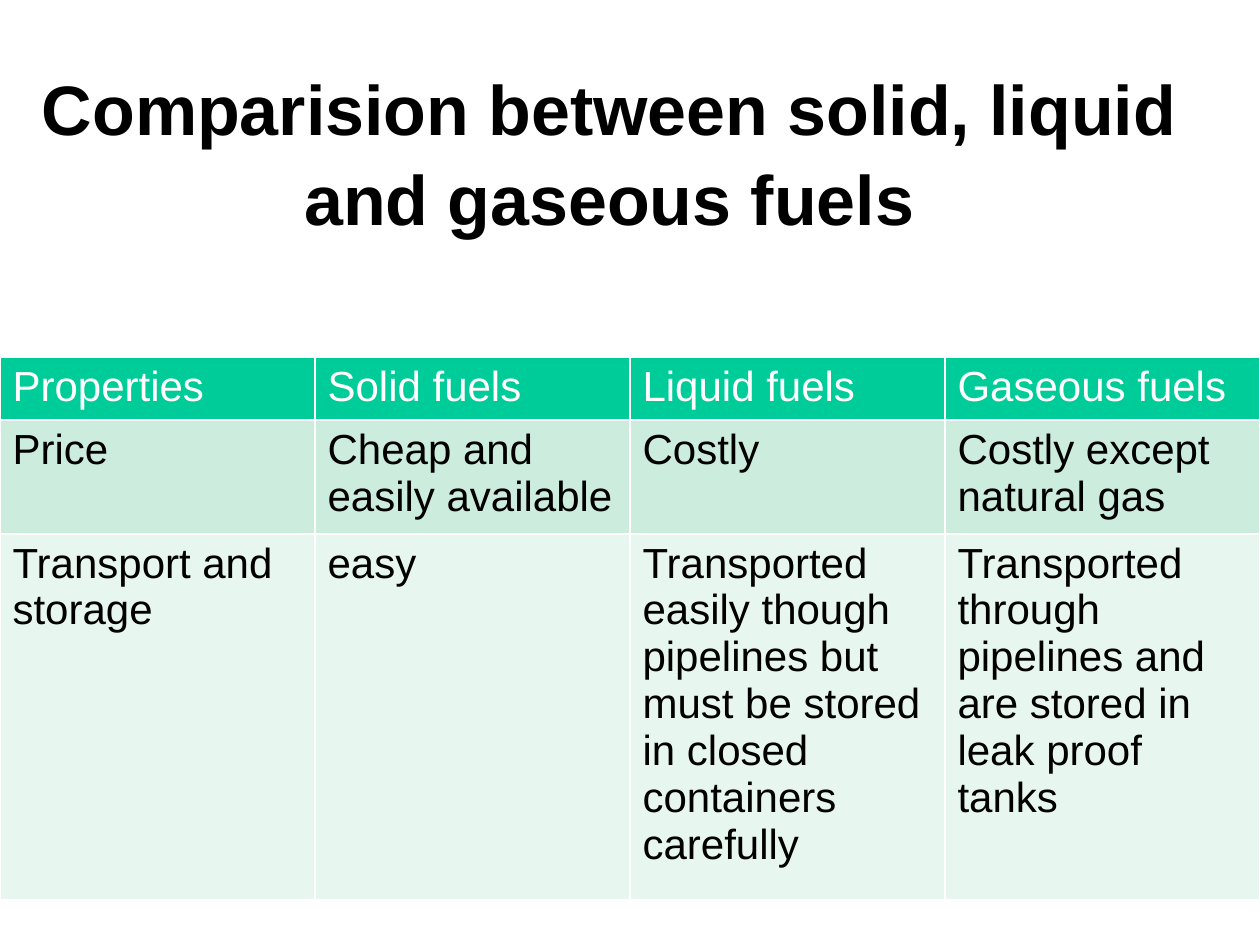
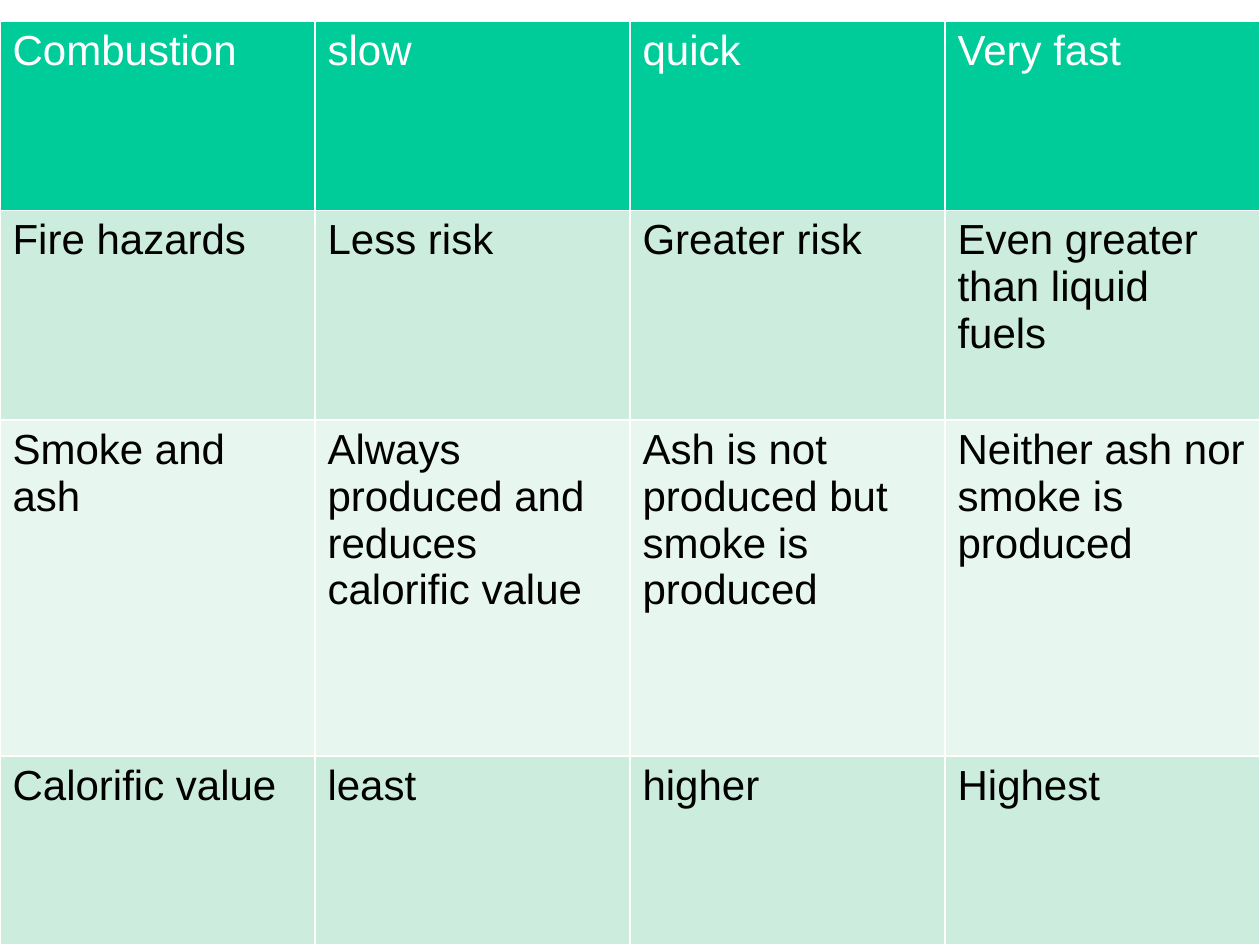
"""Build two slides comparing solid, liquid and gaseous fuels."""
from dataclasses import dataclass

from lxml import etree
from pptx import Presentation
from pptx.dml.color import RGBColor
from pptx.enum.text import MSO_ANCHOR, PP_ALIGN
from pptx.oxml.ns import qn
from pptx.util import Cm, Pt

MIDDLE = MSO_ANCHOR.MIDDLE
CENTER = PP_ALIGN.CENTER


@dataclass(frozen=True)
class Theme:
    font: str = "Arial"
    title_size: int = 40
    cell_size: int = 24
    border_width: int = 1
    text: str = "000000"
    border: str = "FFFFFF"
    header_text: str = "FFFFFF"
    header_fill: str = "00CC99"
    bands: tuple = ("CCECDE", "E7F6EF")


THEME = Theme()
SLIDE_W, SLIDE_H = 25.4, 19.05

SLIDES = [
    {
        "title": "Comparision between solid, liquid and gaseous fuels",
        "top": 7.2,
        "heights": [1.27, 2.29, 7.37],
        "rows": [
            ["Properties", "Solid fuels", "Liquid fuels", "Gaseous fuels"],
            ["Price", "Cheap and easily available", "Costly",
             "Costly except natural gas"],
            ["Transport and storage", "easy",
             "Transported easily though pipelines but must be stored "
             "in closed containers carefully",
             "Transported through pipelines and are stored in leak proof tanks"],
        ],
    },
    {
        "top": 0.43,
        "heights": [3.81, 4.23, 6.77, 3.81],
        "rows": [
            ["Combustion", "slow", "quick", "Very fast"],
            ["Fire hazards", "Less risk", "Greater risk",
             "Even greater than liquid fuels"],
            ["Smoke and ash", "Always produced and reduces calorific value",
             "Ash is not produced but smoke is produced",
             "Neither ash nor smoke is produced"],
            ["Calorific value", "least", "higher", "Highest"],
        ],
    },
]


def set_font(p, size, color, bold=False):
    p.font.name = THEME.font
    p.font.size = Pt(size)
    p.font.bold = bold
    p.font.color.rgb = RGBColor.from_string(color)


def add_title(s, text):
    sp = s.shapes.add_textbox(0, 0, Cm(24.56), Cm(18.2))
    tf = sp.text_frame
    tf.word_wrap = True
    tf.vertical_anchor = MIDDLE
    tf.margin_bottom = Cm(12.3)
    p = tf.paragraphs[0]
    p.text = text
    p.alignment = CENTER
    p.line_spacing = 1.07
    set_font(p, THEME.title_size, THEME.text, bold=True)


def add_borders(cell):
    tc_pr = cell._tc.get_or_add_tcPr()
    for side in ("lnL", "lnR", "lnT", "lnB"):
        ln = etree.SubElement(tc_pr, qn(f"a:{side}"),
                              w=str(Pt(THEME.border_width)))
        fill = etree.SubElement(ln, qn("a:solidFill"))
        etree.SubElement(fill, qn("a:srgbClr"), val=THEME.border)


def fill_cell(cell, text, fill, color):
    add_borders(cell)
    cell.fill.solid()
    cell.fill.fore_color.rgb = RGBColor.from_string(fill)
    p = cell.text_frame.paragraphs[0]
    p.text = text
    set_font(p, THEME.cell_size, color)


def add_fuel_table(s, top, heights, rows):
    cols = len(rows[0])
    table = s.shapes.add_table(len(rows), cols, 0, Cm(top),
                               Cm(SLIDE_W), Cm(sum(heights))).table
    for col in table.columns:
        col.width = Cm(SLIDE_W / cols)
    for i, (height, texts) in enumerate(zip(heights, rows)):
        table.rows[i].height = Cm(height)
        if i == 0:
            fill, color = THEME.header_fill, THEME.header_text
        else:
            fill, color = THEME.bands[(i - 1) % 2], THEME.text
        for j, text in enumerate(texts):
            fill_cell(table.cell(i, j), text, fill, color)


def main():
    prs = Presentation()
    prs.slide_width, prs.slide_height = Cm(SLIDE_W), Cm(SLIDE_H)
    for content in SLIDES:
        s = prs.slides.add_slide(prs.slide_layouts[6])
        if "title" in content:
            add_title(s, content["title"])
        add_fuel_table(s, content["top"], content["heights"], content["rows"])
    prs.save("out.pptx")


if __name__ == "__main__":
    main()
